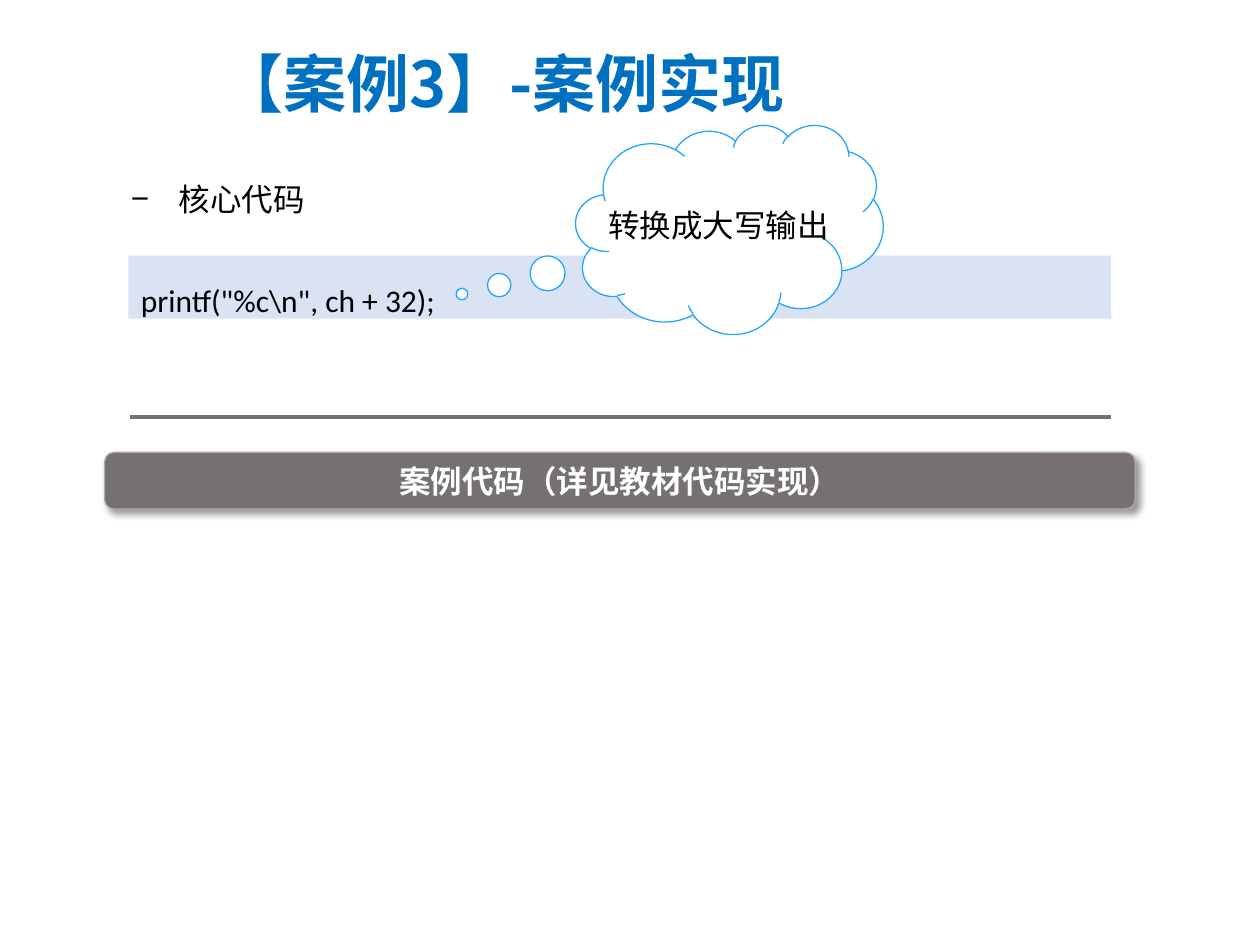
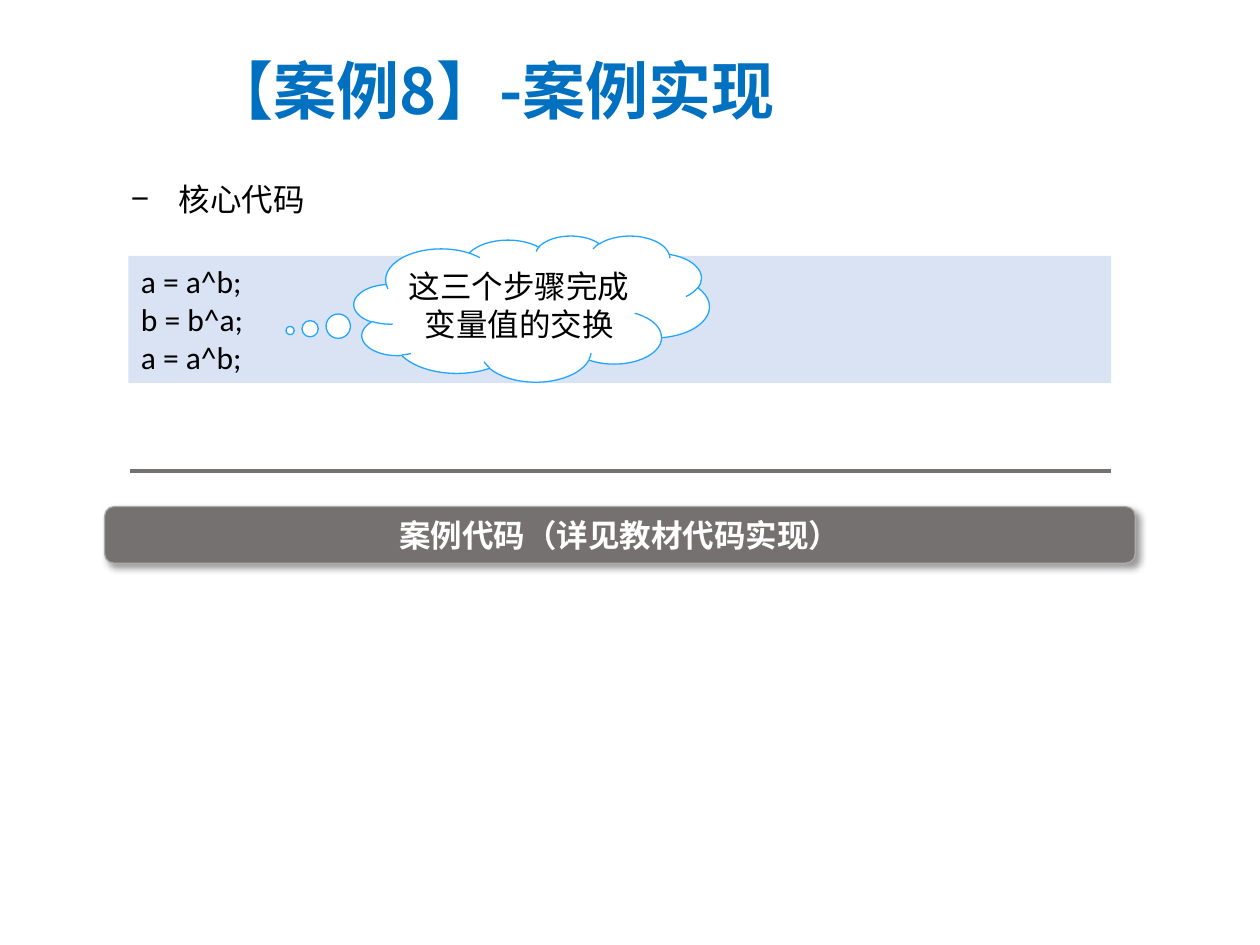
import dataclasses
import lxml.etree
import pptx
import pptx.dml.color
import pptx.enum.shapes
import pptx.enum.text
import pptx.oxml.ns
import pptx.util
from pptx.util import Inches

SHAPE = pptx.enum.shapes.MSO_SHAPE
ALIGN = pptx.enum.text.PP_ALIGN
ANCHOR = pptx.enum.text.MSO_ANCHOR
Box = tuple[float, float, float, float]

COLORS = {
    "title": "0070C0",
    "text": "000000",
    "white": "FFFFFF",
    "band": "767171",
    "edge": "AFABAB",
    "code": "DAE3F3",
    "cloud": "21A5FF",
}
CJK = "Noto Sans CJK SC"


@dataclasses.dataclass
class Style:
    font: str
    color: str = "text"
    size: int = 18
    bold: bool = False
    align: ALIGN = ALIGN.LEFT
    anchor: ANCHOR = ANCHOR.TOP
    space: float = 1.0
    indent: float = 0
    bullet: str = ""
    wrap: bool = True


@dataclasses.dataclass
class Cloud:
    box: Box
    tail: tuple[float, float]
    lines: list[str]


@dataclasses.dataclass
class Case:
    title: str
    left: float
    top: float
    code: list[str]
    space: float
    height: float
    rule: float
    cloud: Cloud


TITLE = Style(CJK, "title", 36, True, anchor=ANCHOR.MIDDLE, indent=0.62)
HEAD = Style("Arial", space=1.5, indent=0.38, bullet="−")
BAND = Style("Calibri", "white", bold=True, align=ALIGN.CENTER, anchor=ANCHOR.MIDDLE)
NOTE = Style("Noto Sans CJK KR", align=ALIGN.CENTER, anchor=ANCHOR.MIDDLE, wrap=False)

CASES = [
    Case("【案例3】-案例实现", 1.65, 0.23, ['printf("%c\\n", ch + 32);'], 1.5, 0.5, 3.31,
         Cloud((4.57, 0.99, 2.44, 1.66), (-0.87, 0.31), ["转换成大写输出"])),
    Case("【案例8】-案例实现", 1.57, 0.29, ["a = a^b;", "b = b^a;", "a = a^b;"], 1.0, 1.01, 3.74,
         Cloud((2.81, 1.87, 2.82, 1.16), (-0.68, 0.15), ["这三个步骤完成", "变量值的交换"])),
]


def color(name: str) -> pptx.dml.color.RGBColor:
    return pptx.dml.color.RGBColor.from_string(COLORS[name])


def add(parent, tag: str, **attrs):
    return lxml.etree.SubElement(parent, pptx.oxml.ns.qn(tag), **attrs)


def write(frame, lines: list[str], style: Style) -> None:
    frame.word_wrap = style.wrap
    frame.vertical_anchor = style.anchor
    for num, line in enumerate(lines):
        para = frame.paragraphs[0] if num == 0 else frame.add_paragraph()
        para.text = line
        para.alignment = style.align
        para.line_spacing = style.space
        props = para._p.get_or_add_pPr()
        if style.indent:
            props.set("marL", str(Inches(style.indent)))
            props.set("indent", str(-Inches(style.indent)))
        if style.bullet:
            add(props, "a:buFont", typeface=style.font)
            add(props, "a:buChar", char=style.bullet)
        font = para.font
        font.name = style.font
        font.size = pptx.util.Pt(style.size)
        font.bold = style.bold
        font.color.rgb = color(style.color)
        add(props.find(pptx.oxml.ns.qn("a:defRPr")), "a:ea", typeface=CJK)


def label(slide, box: Box, line: str, style: Style) -> None:
    text = slide.shapes.add_textbox(*map(Inches, box))
    write(text.text_frame, [line], style)


def panel(slide, kind: SHAPE, box: Box, fill: str, edge: str, lines: list[str], style: Style):
    shape = slide.shapes.add_shape(kind, *map(Inches, box))
    shape.shadow.inherit = False
    shape.fill.solid()
    shape.fill.fore_color.rgb = color(fill)
    if edge:
        shape.line.color.rgb = color(edge)
        shape.line.width = pptx.util.Pt(0.75)
    else:
        shape.line.fill.background()
    write(shape.text_frame, lines, style)
    return shape


def shade(shape) -> None:
    effects = shape._element.spPr.find(pptx.oxml.ns.qn("a:effectLst"))
    outer = add(effects, "a:outerShdw", blurRad=str(pptx.util.Pt(4)),
                dist=str(pptx.util.Pt(3)), dir="2700000", algn="tl", rotWithShape="0")
    black = add(outer, "a:srgbClr", val=COLORS["text"])
    add(black, "a:alpha", val="40000")


def rule(slide, top: float) -> None:
    line = slide.shapes.add_connector(
        pptx.enum.shapes.MSO_CONNECTOR.STRAIGHT,
        Inches(1.03), Inches(top), Inches(8.82), Inches(top))
    line.line.color.rgb = color("band")
    line.line.width = pptx.util.Pt(2.25)
    add(line._element.spPr, "a:effectLst")


def build(slide, case: Case) -> None:
    label(slide, (case.left, case.top, 5.63, 0.84), case.title, TITLE)
    band = panel(slide, SHAPE.ROUNDED_RECTANGLE, (0.83, case.rule + 0.28, 8.18, 0.45),
                 "band", "edge", ["案例代码（详见教材代码实现）"], BAND)
    shade(band)
    panel(slide, SHAPE.RECTANGLE, (1.02, 2.03, 7.8, case.height),
          "code", "", case.code, Style("Calibri", space=case.space))
    label(slide, (0.94, 1.23, 8.51, 0.48), "核心代码", HEAD)
    rule(slide, case.rule)
    cloud = panel(slide, SHAPE.CLOUD_CALLOUT, case.cloud.box,
                  "white", "cloud", case.cloud.lines, NOTE)
    cloud.adjustments[0], cloud.adjustments[1] = case.cloud.tail


def main() -> None:
    deck = pptx.Presentation()
    deck.slide_width = Inches(10)
    deck.slide_height = Inches(7.5)
    for case in CASES:
        build(deck.slides.add_slide(deck.slide_layouts[6]), case)
    deck.save("out.pptx")


if __name__ == "__main__":
    main()
